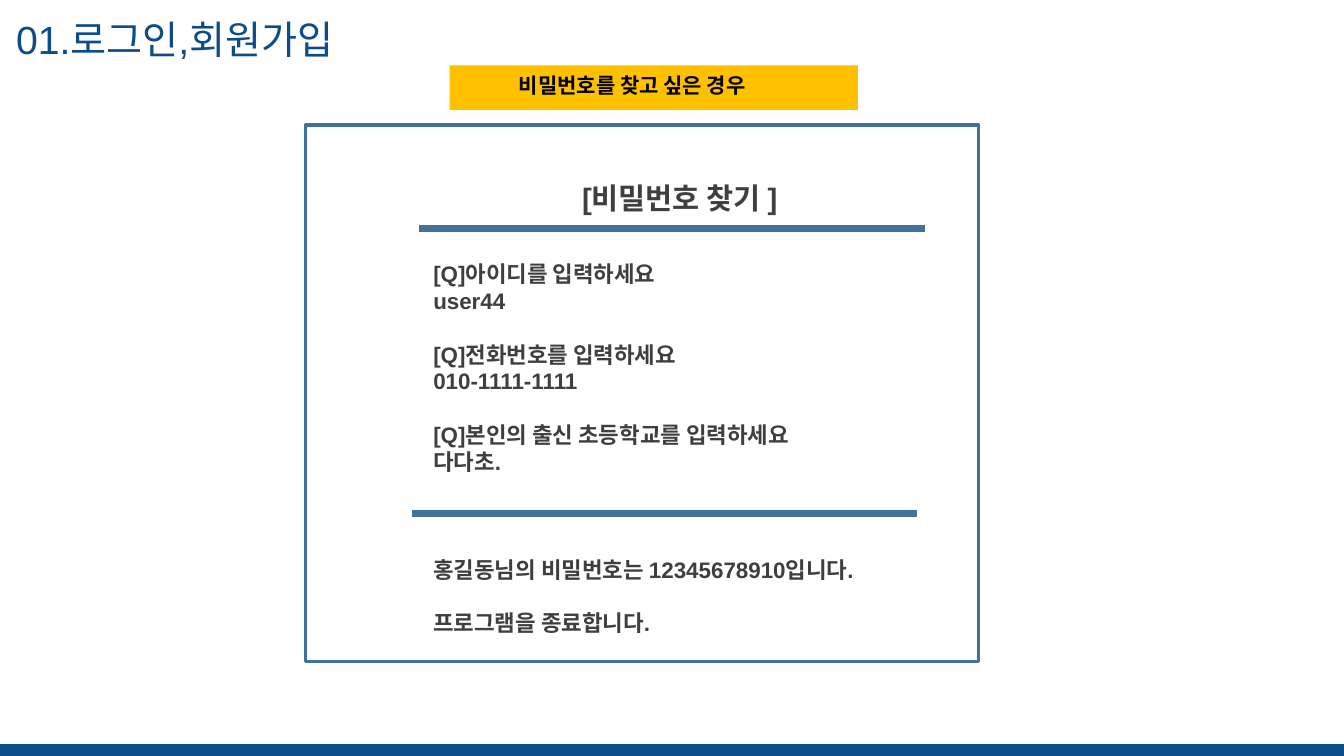
from dataclasses import dataclass

import pptx
import pptx.dml.color
import pptx.enum.shapes
import pptx.enum.text
import pptx.oxml.ns
import pptx.shapes.base
import pptx.slide
import pptx.text.text
import pptx.util
from lxml import etree
from pptx.util import Cm

COLORS = {
    "navy": "0C4C8A",
    "steel": "42719B",
    "amber": "FFC000",
    "black": "000000",
    "gray": "3F3F3F",
}
FONT = "Arial"
BLANK = 19.2  # height of one 16 pt line, in points
RULE_WIDTH = 12.73


@dataclass
class Box:
    """A rectangle in centimetres."""
    left: float
    top: float
    width: float
    height: float
    fill: str = ""
    line: str = ""


@dataclass
class Line:
    """A line of text and the number of line heights left above it."""
    text: str
    gap: int = 0


@dataclass
class Label:
    box: Box
    lines: list[Line]
    size: float
    color: str
    bold: bool = True
    centered: bool = False


@dataclass
class Rule:
    left: float
    top: float


TITLE = Label(Box(0.15, 0.25, 13.08, 1.45), [Line("01.로그인,회원가입")],
              28, "navy", bold=False)

BOXES = [
    Box(0, 18.75, 33.87, 0.3, fill="navy"),         # footer band
    Box(11.33, 1.65, 10.29, 1.12, fill="amber"),    # case banner
    Box(7.7, 3.15, 16.97, 13.51, line="steel"),     # console frame
]

RULES = [Rule(10.57, 5.77), Rule(10.39, 12.93)]

LABELS = [
    Label(Box(12.83, 1.7, 11.35, 0.89), [Line("비밀번호를 찾고 싶은 경우")], 15, "black"),
    Label(Box(10.13, 4.42, 14, 1.27), [Line("[비밀번호 찾기 ]")], 21, "gray", centered=True),
    Label(Box(10.67, 6.43, 12.17, 9.83), [
        Line("[Q]아이디를 입력하세요"),
        Line("user44"),
        Line("[Q]전화번호를 입력하세요", gap=1),
        Line("010-1111-1111"),
        Line("[Q]본인의 출신 초등학교를 입력하세요", gap=1),
        Line("다다초."),
        Line("홍길동님의 비밀번호는 12345678910입니다.", gap=3),
        Line("프로그램을 종료합니다.", gap=1),
    ], 16, "gray"),
]


def rgb(name: str) -> pptx.dml.color.RGBColor:
    return pptx.dml.color.RGBColor.from_string(COLORS[name])


def bounds(box: Box) -> tuple[Cm, Cm, Cm, Cm]:
    return Cm(box.left), Cm(box.top), Cm(box.width), Cm(box.height)


def write(tf: pptx.text.text.TextFrame, label: Label) -> None:
    tf.word_wrap = True
    tf.auto_size = pptx.enum.text.MSO_AUTO_SIZE.NONE
    tf.vertical_anchor = pptx.enum.text.MSO_ANCHOR.TOP
    align = pptx.enum.text.PP_ALIGN
    for i, line in enumerate(label.lines):
        p = tf.add_paragraph() if i else tf.paragraphs[0]
        p.alignment = align.CENTER if label.centered else align.LEFT
        if line.gap:
            p.space_before = pptx.util.Pt(line.gap * BLANK)
        r = p.add_run()
        r.text = line.text
        r.font.name = FONT
        r.font.size = pptx.util.Pt(label.size)
        r.font.bold = label.bold
        r.font.color.rgb = rgb(label.color)


def add_box(s: pptx.slide.Slide, box: Box) -> None:
    sp = s.shapes.add_shape(pptx.enum.shapes.MSO_SHAPE.RECTANGLE, *bounds(box))
    sp.shadow.inherit = False
    if box.fill:
        sp.fill.solid()
        sp.fill.fore_color.rgb = rgb(box.fill)
    else:
        sp.fill.background()
    if box.line:
        sp.line.color.rgb = rgb(box.line)
        sp.line.width = pptx.util.Pt(2.25)
    else:
        sp.line.fill.background()


def add_rule(s: pptx.slide.Slide, rule: Rule) -> None:
    y = Cm(rule.top)
    line = s.shapes.add_connector(pptx.enum.shapes.MSO_CONNECTOR.STRAIGHT,
                                  Cm(rule.left), y, Cm(rule.left + RULE_WIDTH), y)
    line.line.color.rgb = rgb("steel")
    line.line.width = pptx.util.Pt(5)
    etree.SubElement(line._element.spPr, pptx.oxml.ns.qn("a:effectLst"))


def main() -> None:
    prs = pptx.Presentation()
    prs.slide_width, prs.slide_height = Cm(33.87), Cm(19.05)
    s = prs.slides.add_slide(prs.slide_layouts[5])

    # Title
    title = s.shapes.title
    title.left, title.top, title.width, title.height = bounds(TITLE.box)
    write(title.text_frame, TITLE)

    # Bands and frame
    for box in BOXES:
        add_box(s, box)

    # Console dividers
    for rule in RULES:
        add_rule(s, rule)

    # Banner, heading and dialogue
    for label in LABELS:
        write(s.shapes.add_textbox(*bounds(label.box)).text_frame, label)

    prs.save("out.pptx")


if __name__ == "__main__":
    main()
